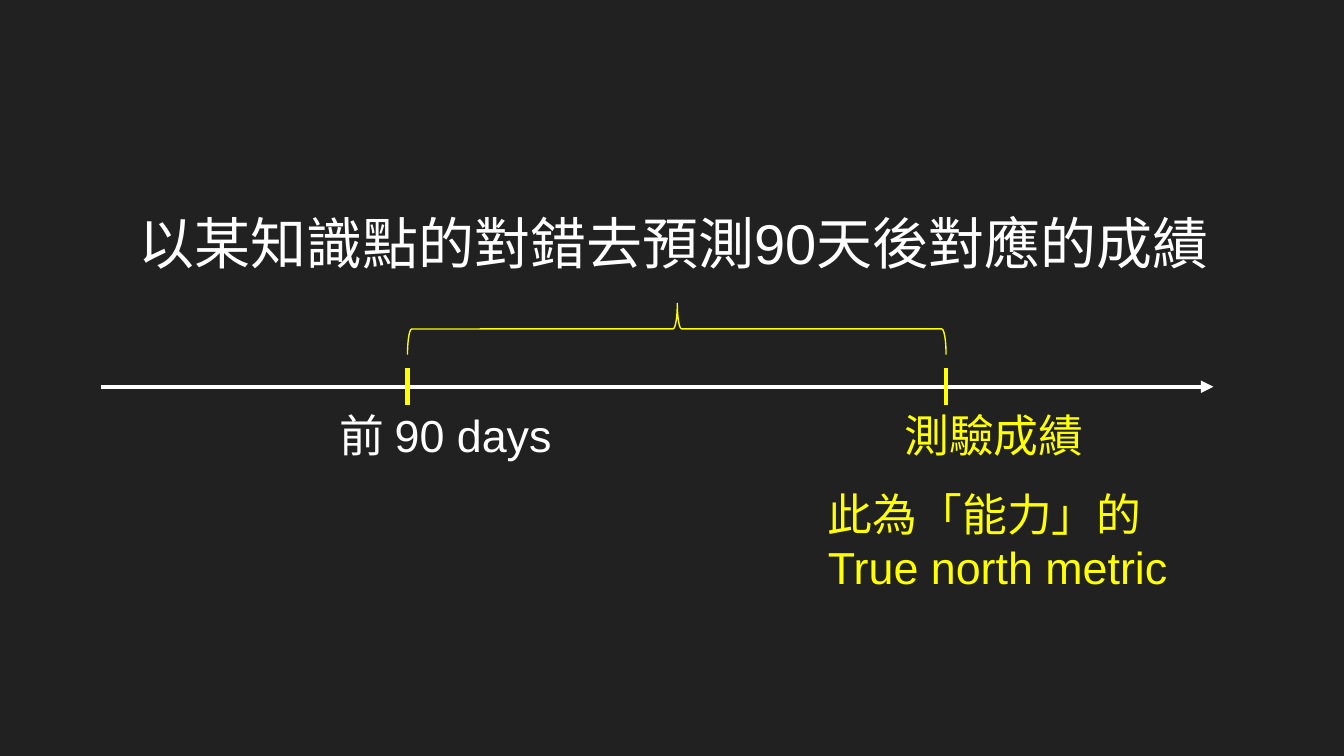
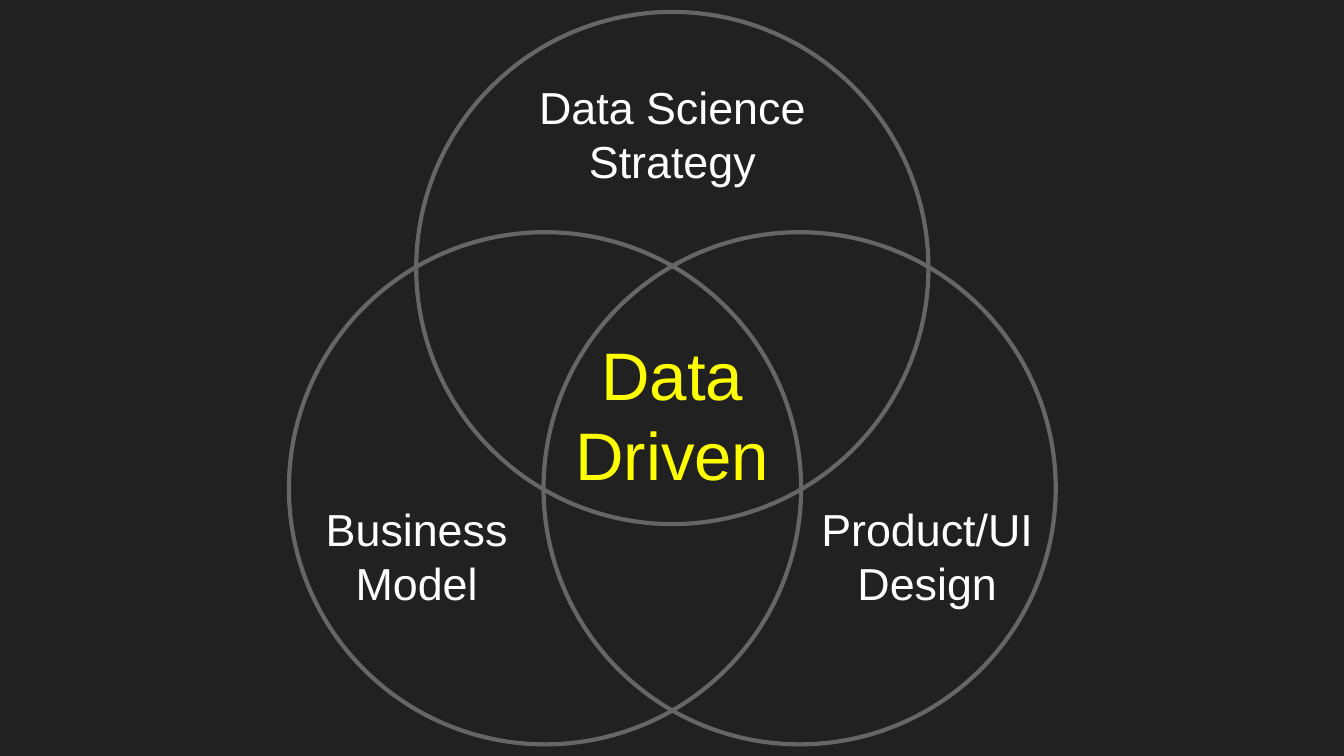
from lxml import etree
from pptx import Presentation
from pptx.dml.color import RGBColor
from pptx.enum.shapes import MSO_CONNECTOR, MSO_SHAPE
from pptx.enum.text import MSO_ANCHOR, PP_ALIGN
from pptx.oxml.ns import qn
from pptx.util import Pt

BACKGROUND = RGBColor(0x21, 0x21, 0x21)
WHITE = RGBColor(0xFF, 0xFF, 0xFF)
YELLOW = RGBColor(0xFF, 0xFF, 0x00)
GREY = RGBColor(0x66, 0x66, 0x66)
FONT = "Arial"
INSET = 7.2
STROKE = 2.25

STRAIGHT = MSO_CONNECTOR.STRAIGHT
ELLIPSE, LEFT_BRACE = MSO_SHAPE.OVAL, MSO_SHAPE.LEFT_BRACE
TOP, MIDDLE = MSO_ANCHOR.TOP, MSO_ANCHOR.MIDDLE
LEFT, CENTER = PP_ALIGN.LEFT, PP_ALIGN.CENTER


class Painter:
    def __init__(self, deck):
        self.deck = deck
        self.page = None

    def new_page(self):
        self.page = self.deck.slides.add_slide(self.deck.slide_layouts[6])
        fill = self.page.background.fill
        fill.solid()
        fill.fore_color.rgb = BACKGROUND

    def text(self, lines, left, top, width, height, color=WHITE, size=24,
             align=LEFT, anchor=TOP):
        box = self.page.shapes.add_textbox(Pt(left), Pt(top), Pt(width), Pt(height))
        frame = box.text_frame
        frame.word_wrap = True
        frame.vertical_anchor = anchor
        frame.margin_left = frame.margin_right = Pt(INSET)
        frame.margin_top = frame.margin_bottom = Pt(INSET)
        frame.text = "\n".join(lines)
        for para in frame.paragraphs:
            para.alignment = align
            for span in para.runs:
                span.font.name = FONT
                span.font.size = Pt(size)
                span.font.color.rgb = color

    def line(self, start, end, color, arrow=False):
        x1, y1 = start
        x2, y2 = end
        connector = self.page.shapes.add_connector(STRAIGHT, Pt(x1), Pt(y1), Pt(x2), Pt(y2))
        connector.line.color.rgb = color
        connector.line.width = Pt(STROKE)
        if arrow:
            outline = connector.line._get_or_add_ln()
            etree.SubElement(outline, qn("a:tailEnd"), type="triangle")
        etree.SubElement(connector._element.spPr, qn("a:effectLst"))

    def outline(self, kind, left, top, width, height, color, weight=STROKE):
        shape = self.page.shapes.add_shape(kind, Pt(left), Pt(top), Pt(width), Pt(height))
        shape.shadow.inherit = False
        shape.fill.background()
        shape.line.color.rgb = color
        shape.line.width = Pt(weight)
        return shape


def draw_timeline(painter):
    axis_y = 207.2
    tick_half = 9.8
    past_x, test_x = 218.3, 506.8
    brace_depth, brace_y = 27.4, 176.2

    painter.new_page()
    painter.line((54, axis_y), (650, axis_y), WHITE, arrow=True)
    for x in (past_x, test_x):
        painter.line((x, axis_y - tick_half), (x, axis_y + tick_half), YELLOW)

    span_length = test_x - past_x
    brace = painter.outline(LEFT_BRACE, (past_x + test_x - brace_depth) / 2,
                            brace_y - span_length / 2, brace_depth, span_length,
                            YELLOW, 0.75)
    brace.rotation = 90
    brace.adjustments[0] = 0.083
    brace.adjustments[1] = 0.499

    painter.text(["以某知識點的對錯去預測90天後對應的成績"], 67, 104.4, 614, 51, size=30)
    painter.text(["前 90 days"], 175, 211, 172, 62)
    painter.text(["測驗成績"], 477.4, 211, 118, 62, YELLOW)
    painter.text(["此為「能力」的", "True north metric"], 436.5, 253.4, 213, 77, YELLOW)


def draw_venn(painter):
    diameter = 274.4
    center_x = 360.2
    upper_top, lower_top = 6.4, 124.4
    label_height = 70

    painter.new_page()
    for offset, top in ((-68.2, lower_top), (68.2, lower_top), (0, upper_top)):
        painter.outline(ELLIPSE, center_x + offset - diameter / 2, top,
                        diameter, diameter, GREY)

    labels = (
        (["Data Driven"], 0, 186.5, 149, YELLOW, 36),
        (["Data Science", "Strategy"], 0, 36.7, 221, WHITE, 24),
        (["Business", "Model"], -137, 262.8, 149, WHITE, 24),
        (["Product/UI", "Design"], 136.5, 262.8, 149, WHITE, 24),
    )
    for lines, offset, top, width, color, size in labels:
        painter.text(lines, center_x + offset - width / 2, top, width, label_height,
                     color, size, CENTER, MIDDLE)


def main():
    deck = Presentation()
    deck.slide_width = Pt(720)
    deck.slide_height = Pt(405)
    painter = Painter(deck)
    draw_timeline(painter)
    draw_venn(painter)
    deck.save("out.pptx")


if __name__ == "__main__":
    main()
